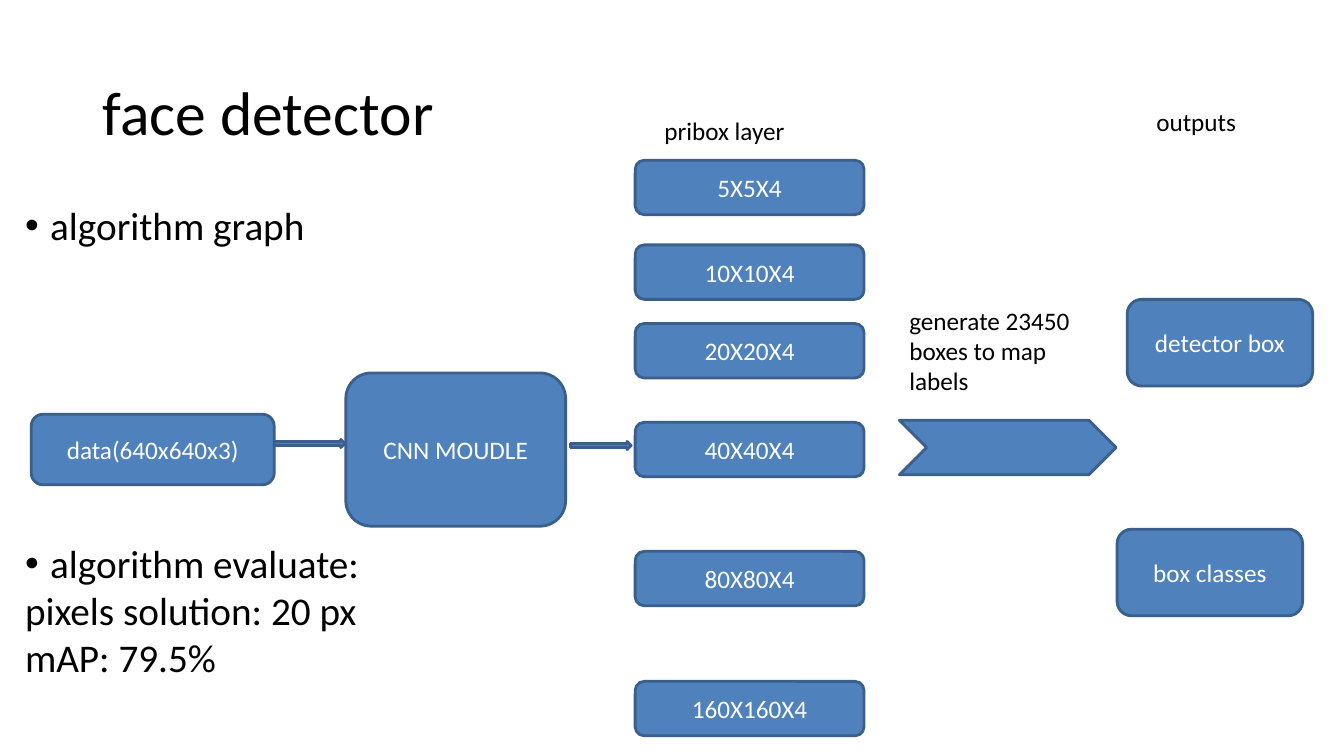
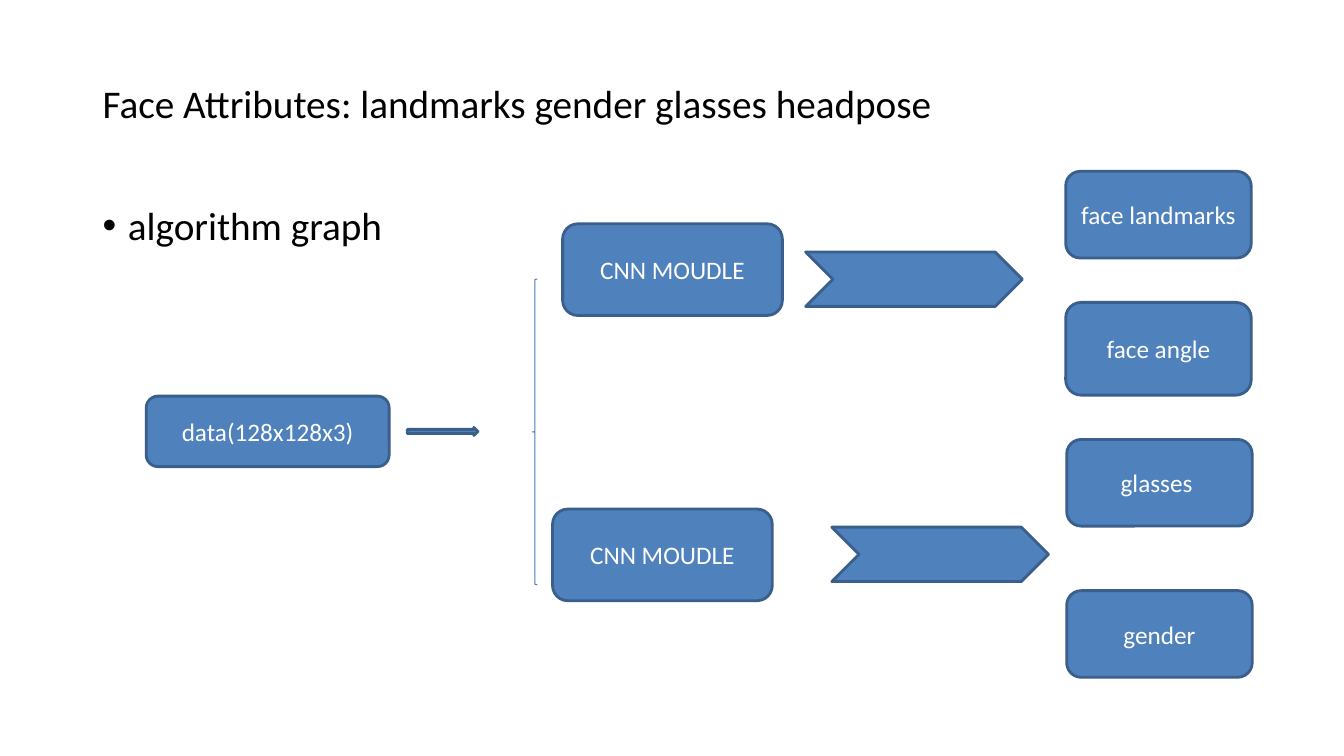
import pptx
import pptx.dml.color
import pptx.enum.shapes
import pptx.enum.text
import pptx.util
from lxml import etree
from pptx.oxml.ns import qn

Inches = pptx.util.Inches
Shapes = pptx.enum.shapes.MSO_SHAPE
Align = pptx.enum.text.PP_ALIGN
Anchor = pptx.enum.text.MSO_ANCHOR

FONT = "Calibri"
BLACK, WHITE = "000000", "FFFFFF"
BLOCK_FILL, BLOCK_LINE, BRACE_LINE = "4F81BD", "3A5F8C", "4B7EBC"
HEADING_SIZE, LABEL_SIZE = 28, 18
CNN_WIDTH = 2.18
DATA_SIZE = (2.41, 0.7)
OUTPUT_SIZE = (1.84, 0.86)
CHEVRON_SIZE = (2.15, 0.54)
ARROW_HEIGHT = 0.08


def colour(hex_code):
    return pptx.dml.color.RGBColor.from_string(hex_code)


def lengths(box):
    return [Inches(value) for value in box]


def write(frame, text, size=LABEL_SIZE, ink=BLACK, align=Align.LEFT,
          anchor=Anchor.TOP, spacing=1.0, bullet=False):
    """Add one paragraph to a text frame, using the first while it is empty."""
    frame.word_wrap = True
    frame.vertical_anchor = anchor
    para = frame.paragraphs[0] if not frame.text else frame.add_paragraph()
    para.alignment = align
    para.line_spacing = spacing
    span = para.add_run()
    span.text = text
    span.font.name = FONT
    span.font.size = pptx.util.Pt(size)
    span.font.color.rgb = colour(ink)
    if bullet:
        properties = para._p.get_or_add_pPr()
        properties.set("marL", str(Inches(0.25)))
        properties.set("indent", str(Inches(-0.25)))
        mark_font = etree.SubElement(properties, qn("a:buFont"))
        mark_font.set("typeface", "Arial")
        etree.SubElement(properties, qn("a:buChar")).set("char", "•")


def add_text(page, box, text, **style):
    frame = page.shapes.add_textbox(*lengths(box)).text_frame
    write(frame, text, **style)
    return frame


def add_figure(page, preset, box, fill=BLOCK_FILL, line=BLOCK_LINE, weight=2):
    figure = page.shapes.add_shape(preset, *lengths(box))
    figure.shadow.inherit = False
    if fill:
        figure.fill.solid()
        figure.fill.fore_color.rgb = colour(fill)
    else:
        figure.fill.background()
    figure.line.color.rgb = colour(line)
    figure.line.width = pptx.util.Pt(weight)
    return figure


def add_block(page, box, label):
    block = add_figure(page, Shapes.ROUNDED_RECTANGLE, box)
    write(block.text_frame, label, ink=WHITE, align=Align.CENTER,
          anchor=Anchor.MIDDLE)


def add_arrow(page, left, top, width):
    add_figure(page, Shapes.RIGHT_ARROW, (left, top, width, ARROW_HEIGHT))


def add_chevron(page, left, top):
    add_figure(page, Shapes.CHEVRON, (left, top, *CHEVRON_SIZE))


def add_page(deck, title, top, size):
    page = deck.slides.add_slide(deck.slide_layouts[6])
    add_text(page, (0.92, top, 11.5, 0.89), title, size=size,
             anchor=Anchor.MIDDLE, spacing=0.9)
    return page


def add_heading(page, box, text):
    return add_text(page, box, text, size=HEADING_SIZE, spacing=0.9,
                    bullet=True)


def add_evaluation(page, box):
    frame = add_heading(page, box, "algorithm evaluate:")
    for result in ("pixels solution: 20 px", "mAP: 79.5%"):
        write(frame, result, size=HEADING_SIZE)


def add_detector_input(page, left, top):
    """Place the data block, the CNN module and the two arrows after them."""
    add_block(page, (left + 3.12, top, CNN_WIDTH, 1.52), "CNN MOUDLE")
    add_block(page, (left, top + 0.41, *DATA_SIZE), "data(640x640x3)")
    add_arrow(page, left + 2.41, top + 0.66, 0.7)
    add_arrow(page, left + 5.35, top + 0.68, 0.6)


def add_pribox_layers(page, left, top):
    add_text(page, (left + 0.19, top, 1.78, 0.4), "pribox layer")
    offsets = (0.5, 1.34, 2.12, 3.1, 4.38, 5.67)
    for level, offset in enumerate(offsets):
        cells = 5 * 2 ** level
        add_block(page, (left, top + offset, 2.27, 0.54), f"{cells}X{cells}X4")


def add_detector_outputs(page, left, top):
    """Place the mapping step and the two outputs to its right."""
    add_text(page, (left, top + 1.97, 1.91, 1),
             "generate 23450 boxes to map labels")
    add_chevron(page, left, top + 3.16)
    add_text(page, (left + 2.45, top, 1.81, 0.4), "outputs")
    add_block(page, (left + 2.26, top + 1.96, *OUTPUT_SIZE), "detector box")
    add_block(page, (left + 2.16, top + 4.24, *OUTPUT_SIZE), "box classes")


def add_attribute_input(page, left, top):
    """Place the data block, its arrow and the brace that splits the flow."""
    add_block(page, (left, top + 1.16, *DATA_SIZE), "data(128x128x3)")
    add_arrow(page, left + 2.59, top + 1.47, 0.7)
    add_figure(page, Shapes.LEFT_BRACE, (left + 3.83, top, 0.05, 3.03),
               fill=None, line=BRACE_LINE, weight=0.75)


def add_attribute_branch(page, module_left, chevron_left, top, chevron_drop):
    add_block(page, (module_left, top, CNN_WIDTH, 0.91), "CNN MOUDLE")
    add_chevron(page, chevron_left, top + chevron_drop)


def add_attribute_outputs(page, left, top):
    width, height = OUTPUT_SIZE
    outputs = (
        ("face landmarks", 0, 0, height),
        ("face angle", 0, 1.3, 0.92),
        ("glasses ", 0.01, 2.66, height),
        ("gender", 0.01, 4.16, height),
    )
    for label, shift, offset, block_height in outputs:
        add_block(page, (left + shift, top + offset, width, block_height),
                  label)


def build_detector(deck):
    page = add_page(deck, "face detector", 0.7, 44)
    add_heading(page, (0.15, 2, 5.5, 0.6), "algorithm graph")
    add_evaluation(page, (0.15, 5.35, 5.5, 1.6))
    add_detector_input(page, 0.31, 3.7)
    add_pribox_layers(page, 6.3, 1.09)
    add_detector_outputs(page, 8.92, 1.01)


def build_attributes(deck):
    page = add_page(
        deck, "Face Attributes: landmarks gender glasses headpose", 0.6, 28)
    add_heading(page, (0.92, 2, 4.5, 0.6), "algorithm graph")
    add_attribute_input(page, 1.45, 2.77)
    add_attribute_branch(page, 5.58, 7.99, 2.22, 0.28)
    add_attribute_branch(page, 5.48, 8.25, 5.05, 0.18)
    add_attribute_outputs(page, 10.57, 1.7)


def main():
    deck = pptx.Presentation()
    deck.slide_width, deck.slide_height = lengths((13.33, 7.5))
    build_detector(deck)
    build_attributes(deck)
    deck.save("out.pptx")


if __name__ == "__main__":
    main()
